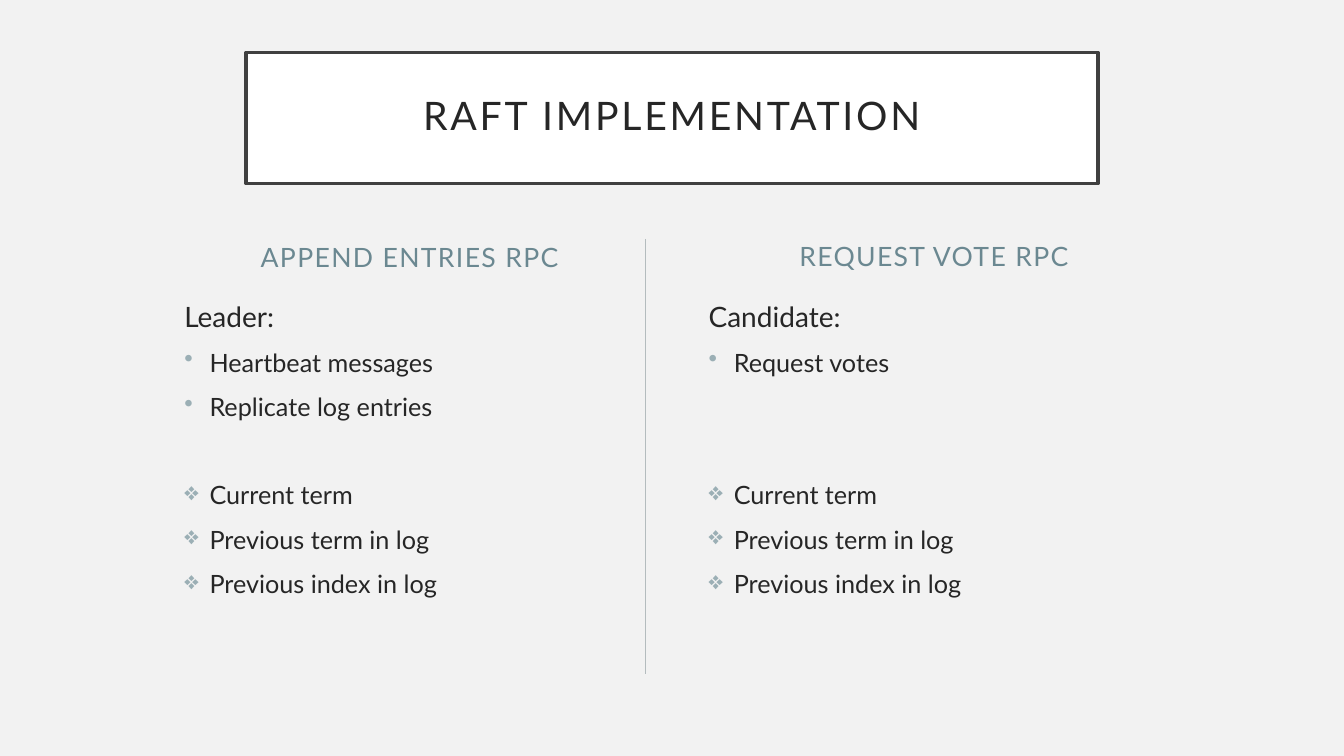
import pptx
import pptx.util
import pptx.dml.color
import pptx.enum.shapes
import pptx.enum.text
import pptx.oxml.ns
from lxml import etree

Inches, Pt = pptx.util.Inches, pptx.util.Pt
RGBColor = pptx.dml.color.RGBColor
PP_ALIGN = pptx.enum.text.PP_ALIGN
ANCHOR = pptx.enum.text.MSO_ANCHOR
qn = pptx.oxml.ns.qn

BACKGROUND = RGBColor(0xF2, 0xF2, 0xF2)
WHITE = RGBColor(0xFF, 0xFF, 0xFF)
FRAME = RGBColor(0x40, 0x40, 0x40)
INK = RGBColor(0x26, 0x26, 0x26)
TEAL = RGBColor(0x6B, 0x88, 0x91)
BULLET = RGBColor(0x9B, 0xAF, 0xB5)
DIVIDER = RGBColor(0xB4, 0xBC, 0xBE)

FONT = "Lato"
COLUMN_WIDTH = 4.67
PARAGRAPH_GAP = 10
ITEM_SIZE = 18
ITEM_PITCH = ITEM_SIZE * 1.2 + PARAGRAPH_GAP  # one item line with its gap
DOT, DIAMOND = "\u2022", "\u2756"
RPC_FIELDS = ["Current term", "Previous term in log", "Previous index in log"]

# heading, left, heading top, role, tasks
RPCS = [
    ("APPEND ENTRIES RPC", 1.73, 1.99, "Leader:",
     ["Heartbeat messages", "Replicate log entries"]),
    ("REQUEST VOTE RPC", 6.93, 1.98, "Candidate:", ["Request votes"]),
]
TASK_ROWS = 3  # the fields start below this many rows in every column


def style_paragraph(paragraph, size, color, tracking=0, align=PP_ALIGN.LEFT):
    paragraph.alignment = align
    for run in paragraph.runs:
        run.font.name = FONT
        run.font.size = Pt(size)
        run.font.color.rgb = color
        if tracking:
            run.font._element.set("spc", str(tracking * 100))


def add_bullet(paragraph, character):
    properties = paragraph._p.get_or_add_pPr()
    properties.set("marL", str(Inches(0.25)))
    properties.set("indent", str(Inches(-0.25)))
    bullet_color = etree.SubElement(properties, qn("a:buClr"))
    etree.SubElement(bullet_color, qn("a:srgbClr"), val=str(BULLET))
    etree.SubElement(properties, qn("a:buChar"), char=character)


def add_text_frame(slide, left, top, width, height):
    frame = slide.shapes.add_textbox(
        Inches(left), Inches(top), Inches(width), Inches(height)).text_frame
    frame.word_wrap = True
    return frame


def add_title(slide, text):
    title = slide.shapes.add_shape(
        pptx.enum.shapes.MSO_SHAPE.RECTANGLE,
        Inches(2.44), Inches(0.52), Inches(8.45), Inches(1.3))
    title.shadow.inherit = False
    title.fill.solid()
    title.fill.fore_color.rgb = WHITE
    title.line.color.rgb = FRAME
    title.line.width = Pt(2.5)
    frame = title.text_frame
    frame.word_wrap = True
    frame.vertical_anchor = ANCHOR.MIDDLE
    frame.margin_left = frame.margin_right = Inches(0.2)
    frame.margin_top = frame.margin_bottom = Inches(0.2)
    frame.text = text
    frame.paragraphs[0].line_spacing = 0.9
    style_paragraph(frame.paragraphs[0], 28, INK, 2, PP_ALIGN.CENTER)


def add_heading(slide, text, left, top):
    frame = add_text_frame(slide, left, top, COLUMN_WIDTH, 0.77)
    frame.vertical_anchor = ANCHOR.BOTTOM
    frame.text = text
    frame.paragraphs[0].space_before = Pt(PARAGRAPH_GAP)
    style_paragraph(frame.paragraphs[0], 19, TEAL, 1, PP_ALIGN.CENTER)


def add_details(slide, left, role, tasks):
    frame = add_text_frame(slide, left, 2.92, COLUMN_WIDTH, 4.45)
    frame.text = role
    frame.paragraphs[0].space_before = Pt(PARAGRAPH_GAP)
    style_paragraph(frame.paragraphs[0], 20, INK)
    items = [(DOT, task) for task in tasks]
    items += [(DIAMOND, field) for field in RPC_FIELDS]
    for row, (character, text) in enumerate(items):
        item = frame.add_paragraph()
        item.text = text
        skipped_rows = TASK_ROWS - len(tasks) if row == len(tasks) else 0
        item.space_before = Pt(PARAGRAPH_GAP + skipped_rows * ITEM_PITCH)
        style_paragraph(item, ITEM_SIZE, INK)
        add_bullet(item, character)


def add_divider(slide, x, top, bottom):
    divider = slide.shapes.add_connector(
        pptx.enum.shapes.MSO_CONNECTOR.STRAIGHT,
        Inches(x), Inches(top), Inches(x), Inches(bottom))
    divider.line.color.rgb = DIVIDER
    divider.line.width = Pt(0.5)
    etree.SubElement(divider._element.spPr, qn("a:effectLst"))


def main():
    deck = pptx.Presentation()
    deck.slide_width, deck.slide_height = Inches(13.33), Inches(7.5)
    slide = deck.slides.add_slide(deck.slide_layouts[6])
    slide.background.fill.solid()
    slide.background.fill.fore_color.rgb = BACKGROUND

    # Title
    add_title(slide, "RAFT IMPLEMENTATION")

    # One column per remote call
    for heading, left, top, role, tasks in RPCS:
        add_heading(slide, heading, left, top)
        add_details(slide, left, role, tasks)

    # Line between the columns
    add_divider(slide, 6.4, 2.37, 6.69)

    deck.save("out.pptx")


main()
